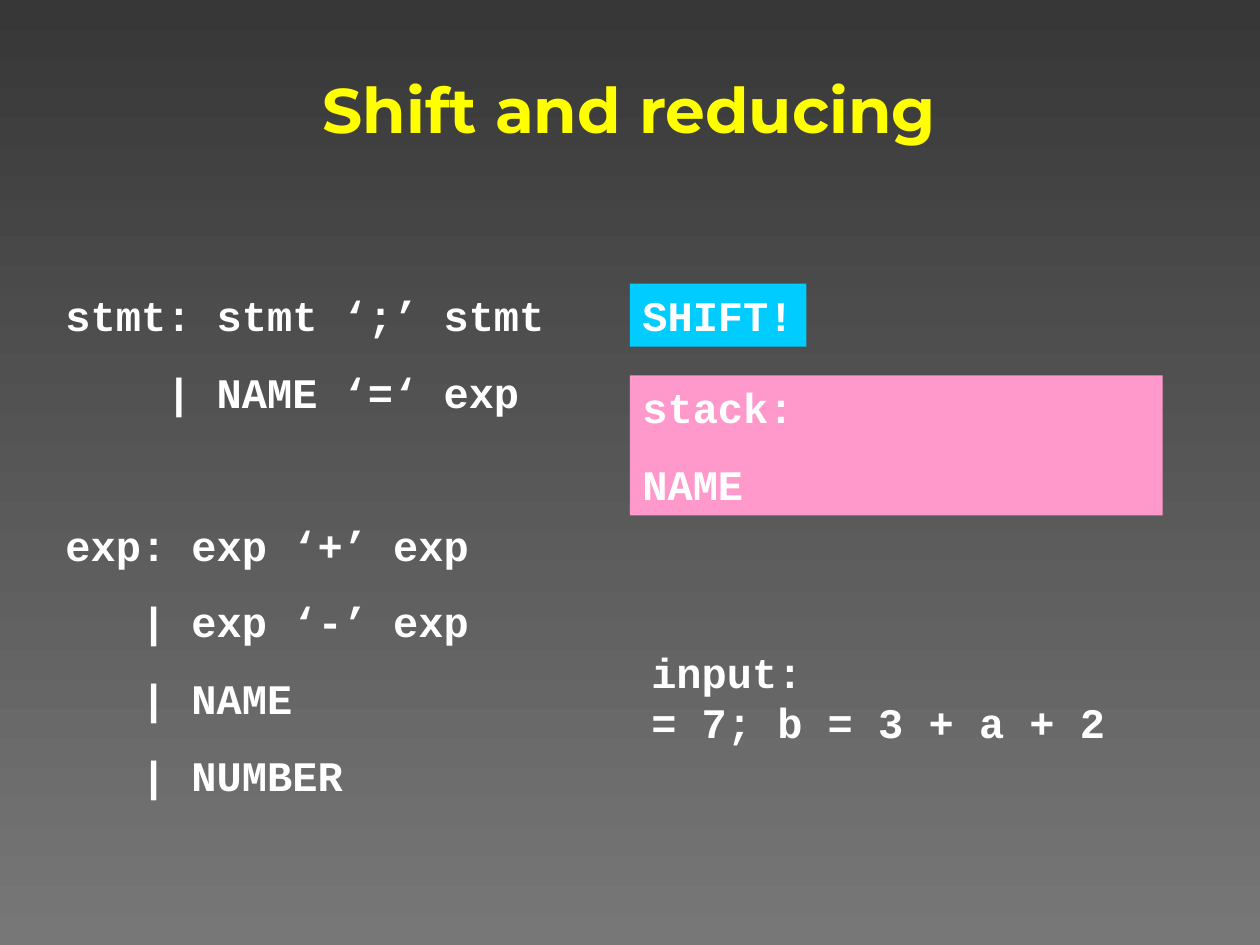
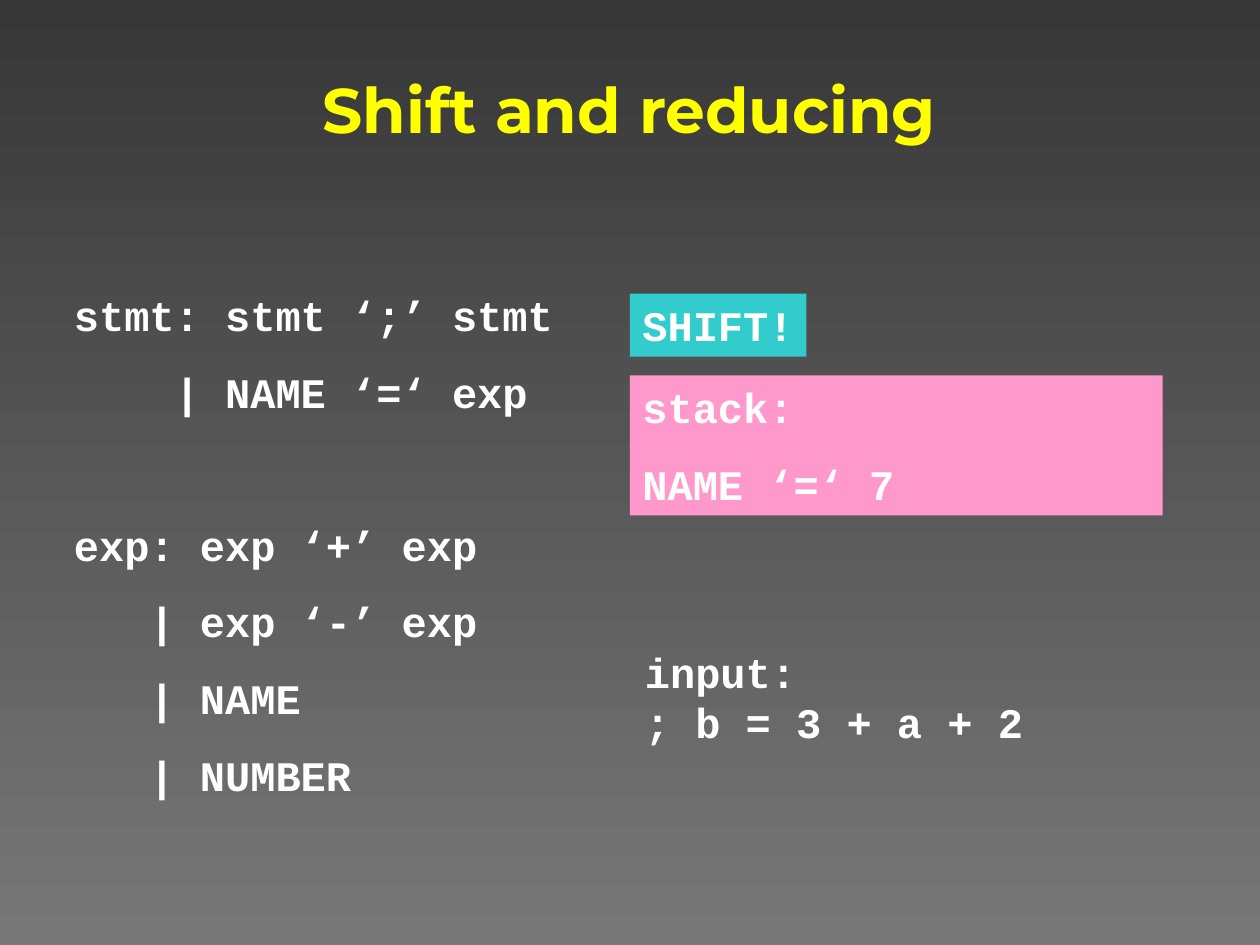
from dataclasses import dataclass

from pptx import Presentation
from pptx.dml.color import RGBColor as RGB
from pptx.enum.shapes import MSO_SHAPE as Shape
from pptx.enum.text import MSO_ANCHOR as Anchor, MSO_AUTO_SIZE as Auto, PP_ALIGN as Align
from pptx.util import Cm, Pt

# Content: parser steps; places are left, top, width, height in cm
TITLE = "Shift and reducing"
RULES = [
    ["stmt: stmt ‘;’ stmt", "    | NAME ‘=‘ exp"],
    ["exp: exp ‘+’ exp", "   | exp ‘-’ exp", "   | NAME", "   | NUMBER"],
]
STEPS = [
    dict(
        stack="NAME", rest="= 7; b = 3 + a + 2", tint="00CCFF",
        rules_at=(1.07, 5.72, 10.92, 10.54),
        rest_at=(12.88, 12.9, 9.65, 2.29),
        act_at=(12.7, 5.72, 3.56, 1.27),
    ),
    dict(
        stack="NAME ‘=‘ 7", rest="; b = 3 + a + 2", tint="33CCCC",
        rules_at=(1.24, 5.72, 10.34, 10.54),
        rest_at=(12.75, 12.9, 8.13, 2.29),
        act_at=(12.7, 5.92, 3.56, 1.27),
    ),
]
TITLE_AT = (0.74, 0.91, 23.9, 2.54)
STACK_AT = (12.7, 7.57, 10.74, 2.82)


@dataclass(frozen=True)
class Theme:
    top: str = "373737"
    base: str = "777777"
    head: str = "FFFF00"
    text: str = "FFFFFF"
    stack: str = "FF99CC"
    head_font: str = "Montserrat"
    code_font: str = "Courier New"
    head_size: float = 36
    code_size: float = 24
    gap: float = 15        # between lines of one rule
    rule_gap: float = 58.5  # between two rules


LOOK = Theme()


def set_font(para, name, size, color):
    font = para.font
    font.name, font.size, font.bold = name, Pt(size), True
    font.color.rgb = RGB.from_string(color)


def add_code(slide, at, lines, gaps=None, fill=None, wrap=True):
    """Add a code box; gaps holds the space before each line."""
    place = [Cm(n) for n in at]
    if fill:
        box = slide.shapes.add_shape(Shape.RECTANGLE, *place)
        box.shadow.inherit = False
        box.fill.solid()
        box.fill.fore_color.rgb = RGB.from_string(fill)
        box.line.fill.background()
    else:
        box = slide.shapes.add_textbox(*place)
    frame = box.text_frame
    frame.text = "\n".join(lines)
    frame.word_wrap = wrap
    frame.auto_size = Auto.SHAPE_TO_FIT_TEXT
    frame.vertical_anchor = Anchor.TOP
    for para, gap in zip(frame.paragraphs, gaps or [0] * len(lines)):
        para.alignment = Align.LEFT
        para.space_before = Pt(gap)
        set_font(para, LOOK.code_font, LOOK.code_size, LOOK.text)


def add_title(slide):
    head = slide.shapes.title
    head.left, head.top, head.width, head.height = [Cm(n) for n in TITLE_AT]
    frame = head.text_frame
    frame.text = TITLE
    frame.auto_size = Auto.NONE
    frame.vertical_anchor = Anchor.MIDDLE
    para = frame.paragraphs[0]
    para.alignment = Align.CENTER
    set_font(para, LOOK.head_font, LOOK.head_size, LOOK.head)


def add_step(deck, step):
    slide = deck.slides.add_slide(deck.slide_layouts[5])
    add_title(slide)

    # Grammar: a wide gap opens each rule but the first
    lines = [line for rule in RULES for line in rule]
    gaps = [LOOK.gap if n else LOOK.rule_gap for rule in RULES for n in range(len(rule))]
    gaps[0] = 0
    add_code(slide, step["rules_at"], lines, gaps)

    # Parser state
    add_code(slide, step["rest_at"], ["input:", step["rest"]], wrap=False)
    add_code(slide, STACK_AT, ["stack:", step["stack"]], [0, LOOK.gap], LOOK.stack)
    add_code(slide, step["act_at"], ["SHIFT!"], fill=step["tint"], wrap=False)


def main():
    deck = Presentation()
    deck.slide_width, deck.slide_height = Cm(25.4), Cm(19.05)

    # Shared backdrop, dark at the top
    fill = deck.slide_master.background.fill
    fill.gradient()
    fill.gradient_angle = 270
    for stop, color in zip(fill.gradient_stops, (LOOK.top, LOOK.base)):
        stop.color.rgb = RGB.from_string(color)

    for step in STEPS:
        add_step(deck, step)
    deck.save("out.pptx")


if __name__ == "__main__":
    main()
